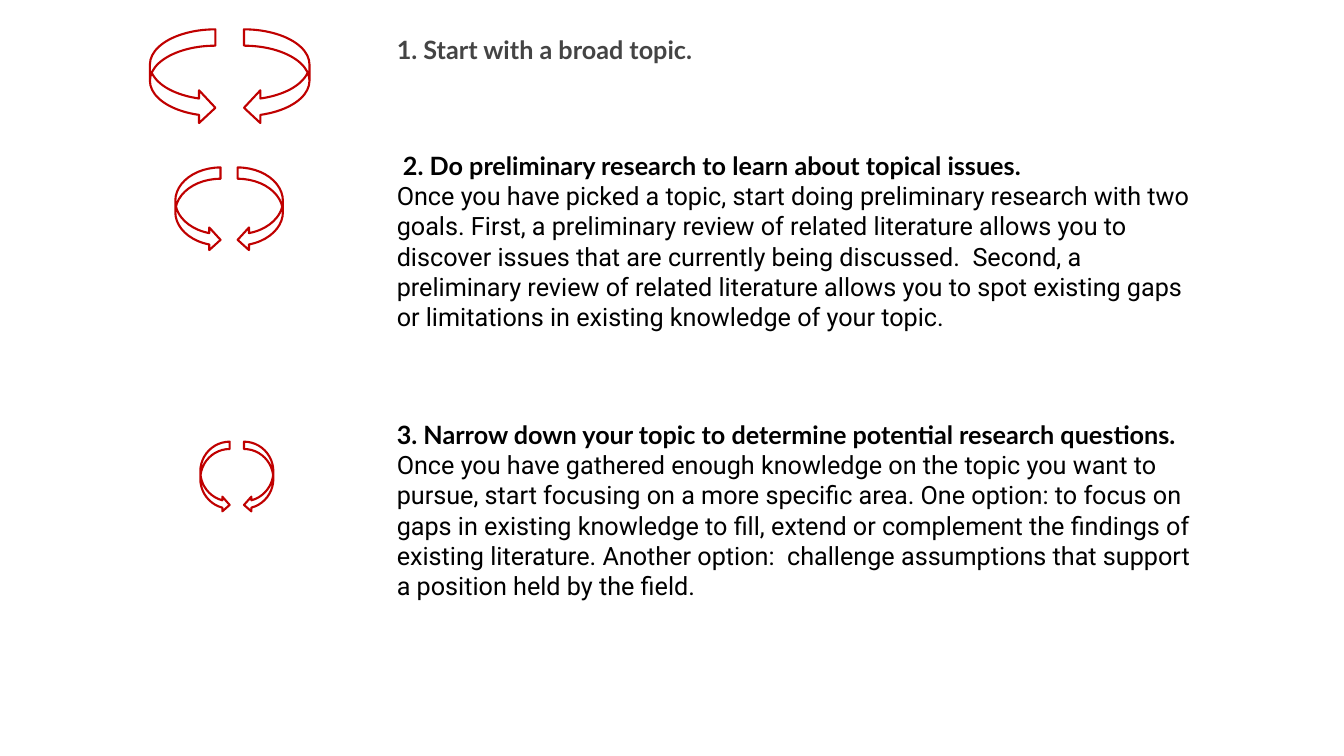
from pptx import Presentation
from pptx.dml.color import RGBColor
from pptx.enum.shapes import MSO_SHAPE as Preset
from pptx.enum.text import MSO_AUTO_SIZE as AutoSize
from pptx.util import Cm, Pt

RED = RGBColor(0xC0, 0x00, 0x00)
GRAY = RGBColor(0x44, 0x44, 0x44)
BLACK = RGBColor(0x00, 0x00, 0x00)

TEXT_LEFT = 9.75
TEXT_WIDTH = 20.83

PRELIMINARY_RESEARCH = (
    "Once you have picked a topic, start doing preliminary research with two goals. "
    "First, a preliminary review of related literature allows you to discover issues "
    "that are currently being discussed.  Second, a preliminary review of related "
    "literature allows you to spot existing gaps or limitations in existing knowledge "
    "of your topic."
)
NARROWING_DOWN = (
    "Once you have gathered enough knowledge on the topic you want to pursue, start "
    "focusing on a more specific area. One option: to focus on gaps in existing "
    "knowledge to fill, extend or complement the findings of existing literature. "
    "Another option:  challenge assumptions that support a position held by the field."
)


def format_paragraph(paragraph, text, font_name, color, bold):
    paragraph.text = text
    paragraph.font.name = font_name
    paragraph.font.size = Pt(18)
    paragraph.font.bold = bold
    paragraph.font.color.rgb = color


def add_step_text(slide, top, width, height, heading, body=None, color=BLACK):
    box = slide.shapes.add_textbox(Cm(TEXT_LEFT), Cm(top), Cm(width), Cm(height))
    frame = box.text_frame
    frame.word_wrap = body is not None
    frame.auto_size = AutoSize.SHAPE_TO_FIT_TEXT
    format_paragraph(frame.paragraphs[0], heading, "Lato", color, True)
    if body:
        format_paragraph(frame.add_paragraph(), body, "Roboto", color, False)


def add_curved_arrow(slide, left, top, width, height, mirrored):
    arrow = slide.shapes.add_shape(
        Preset.CURVED_LEFT_ARROW, Cm(left), Cm(top), Cm(width), Cm(height)
    )
    arrow.shadow.inherit = False
    arrow.fill.background()
    arrow.line.color.rgb = RED
    arrow.line.width = Pt(1.5)
    if mirrored:
        arrow._element.spPr.xfrm.set("flipH", "1")


def add_arrow_loop(slide, left, right, top, width, height):
    add_curved_arrow(slide, right, top, width, height, mirrored=False)
    add_curved_arrow(slide, left, top, width, height, mirrored=True)


def main():
    presentation = Presentation()
    presentation.slide_width = Cm(33.87)
    presentation.slide_height = Cm(19.05)
    slide = presentation.slides.add_slide(presentation.slide_layouts[6])

    add_step_text(slide, 0.74, 8.53, 1.02, "1. Start with a broad topic.", color=GRAY)
    add_arrow_loop(slide, left=3.78, right=6.15, top=0.74, width=1.65, height=2.39)

    add_step_text(
        slide, 3.66, TEXT_WIDTH, 4.88,
        " 2. Do preliminary research to learn about topical issues.",
        PRELIMINARY_RESEARCH,
    )
    add_arrow_loop(slide, left=4.42, right=5.99, top=4.22, width=1.14, height=2.11)

    add_step_text(
        slide, 10.44, TEXT_WIDTH, 5.64,
        "3. Narrow down your topic to determine potential research questions.",
        NARROWING_DOWN,
    )
    add_arrow_loop(slide, left=5.05, right=6.15, top=11.13, width=0.74, height=1.78)

    presentation.save("out.pptx")


if __name__ == "__main__":
    main()
